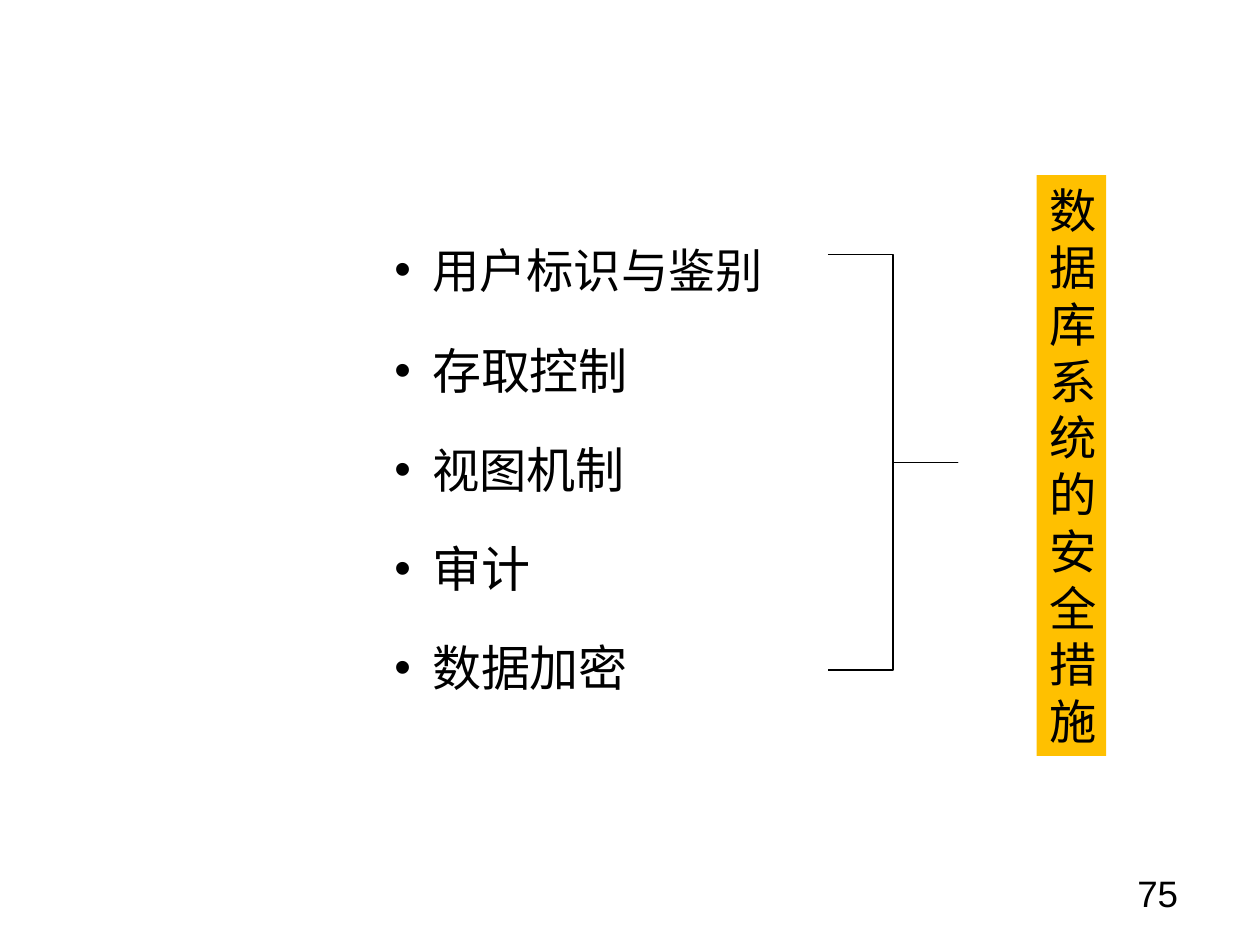
from dataclasses import dataclass

from pptx import Presentation
from pptx.dml.color import RGBColor
from pptx.enum.shapes import MSO_SHAPE
from pptx.enum.text import MSO_ANCHOR, PP_ALIGN
from pptx.oxml.ns import qn
from pptx.util import Cm, Pt


@dataclass(frozen=True)
class Theme:
    ink: RGBColor = RGBColor(0, 0, 0)
    paper: RGBColor = RGBColor(255, 255, 255)
    accent: RGBColor = RGBColor(0xFF, 0xC0, 0x00)
    latin: str = "Arial"
    chinese: str = "Noto Sans CJK SC"
    body: Pt = Pt(27)
    large: Pt = Pt(28)
    number: Pt = Pt(21)


theme = Theme()


def prepare_frame(box, side=0.25, top=0.13):
    frame = box.text_frame
    frame.word_wrap = True
    frame.vertical_anchor = MSO_ANCHOR.TOP
    frame.margin_left = frame.margin_right = Cm(side)
    frame.margin_top = frame.margin_bottom = Cm(top)
    return frame.paragraphs[0]


def add_run(para, text, size, font):
    span = para.add_run()
    span.text = text
    span.font.size = size
    span.font.name = font
    span.font.color.rgb = theme.ink
    east_asian = span.font._element.makeelement(qn("a:ea"), {"typeface": theme.chinese})
    span.font._element.find(qn("a:latin")).addnext(east_asian)


deck = Presentation()
deck.slide_width, deck.slide_height = Cm(25.4), Cm(19.05)
page = deck.slides.add_slide(deck.slide_layouts[6])

# Security measures, evenly spaced
measures = [
    [(" 用户标识与鉴别", theme.body)],
    [(" ", theme.body), ("存取控制", theme.large)],
    [(" 视图", theme.body), ("机制", theme.large)],
    [(" ", theme.body), ("审计", theme.large)],
    [(" ", theme.body), ("数据加密", theme.large)],
]
for row, parts in enumerate(measures):
    box = page.shapes.add_textbox(Cm(7.7), Cm(4.73 + 2 * row), Cm(9), Cm(1.43))
    para = prepare_frame(box)
    for text, size in parts:
        add_run(para, text, size, theme.chinese)
    properties = para._p.get_or_add_pPr()
    properties.set("marL", str(Cm(0.55)))
    properties.set("indent", str(Cm(-0.55)))
    for tag, value in (("a:buFont", {"typeface": theme.latin}), ("a:buChar", {"char": "•"})):
        properties.append(properties.makeelement(qn(tag), value))

# Square brace gathering the measures
left, spine, tip = Cm(16.69), Cm(18), Cm(19.31)
top, middle, bottom = Cm(5.13), Cm(9.32), Cm(13.51)
builder = page.shapes.build_freeform(left, top)
builder.add_line_segments(
    [(spine, top), (spine, middle), (tip, middle), (spine, middle), (spine, bottom), (left, bottom)],
    close=False,
)
brace = builder.convert_to_shape()
brace.shadow.inherit = False
brace.fill.solid()
brace.fill.fore_color.rgb = theme.paper
brace.line.color.rgb = theme.ink
brace.line.width = Pt(0.75)

# Topic, one character to a line
topic = page.shapes.add_shape(MSO_SHAPE.RECTANGLE, Cm(20.9), Cm(3.53), Cm(1.4), Cm(11.71))
topic.shadow.inherit = False
topic.fill.solid()
topic.fill.fore_color.rgb = theme.accent
topic.line.fill.background()
para = prepare_frame(topic)
para.alignment = PP_ALIGN.LEFT
add_run(para, "数据库系统的安全措施", theme.body, theme.latin)

# Page number
box = page.shapes.add_textbox(Cm(18.21), Cm(17.35), Cm(5.92), Cm(1.32))
para = prepare_frame(box, 0.38, 0.2)
para.alignment = PP_ALIGN.RIGHT
add_run(para, "75", theme.number, theme.latin)

deck.save("out.pptx")
